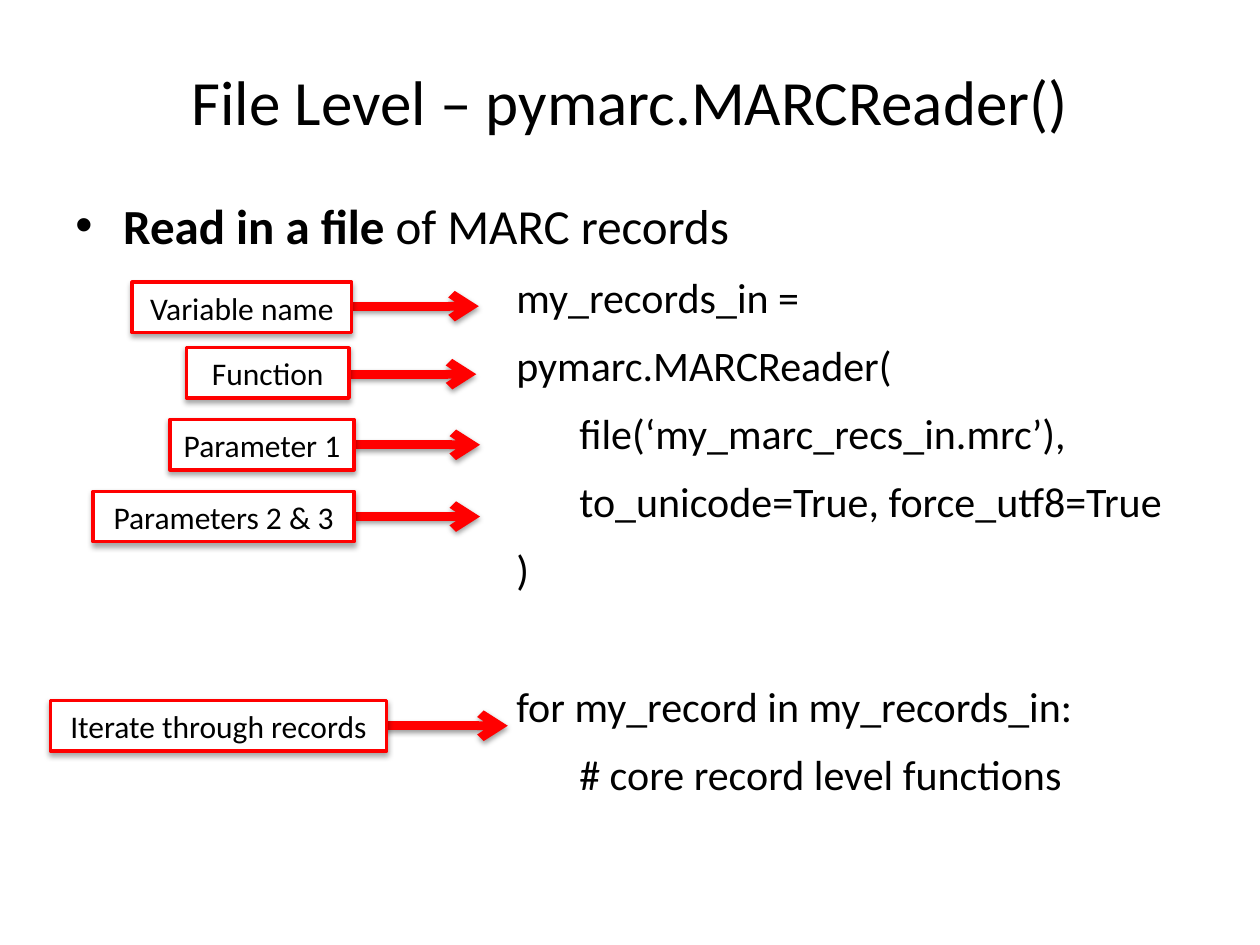
from lxml.etree import SubElement
from pptx import Presentation
from pptx.dml.color import RGBColor
from pptx.enum.shapes import MSO_CONNECTOR, MSO_SHAPE
from pptx.enum.text import MSO_ANCHOR, PP_ALIGN
from pptx.oxml.ns import qn
from pptx.util import Inches, Pt

BLACK = RGBColor(0, 0, 0)
WHITE = RGBColor(255, 255, 255)
RED = RGBColor(255, 0, 0)
FONT = "Calibri"
WIDE, HIGH = 10, 7.5
EDGE = WIDE * 0.05
STEP = 0.5        # one code indent
CODE = 7 * STEP   # code column inside the body
GAP = 4.3         # points above a code line
PITCH = 39.4      # points from one code line to the next

# Text, extra indents, empty lines above
LINES = [
    ("my_records_in =", 0, 0),
    ("pymarc.MARCReader(", 0, 0),
    ("file(‘my_marc_recs_in.mrc’),", 1, 0),
    ("to_unicode=True, force_utf8=True", 1, 0),
    (")", 0, 0),
    ("for my_record in my_records_in:", 0, 1),
    ("# core record level functions", 1, 0),
]
# Text, box left, top and width, arrow start and height
LABELS = [
    ("Variable name", 1.05, 2.24, 1.74, 2.8, 2.43),
    ("Function", 1.48, 2.76, 1.29, 2.78, 2.97),
    ("Parameter 1", 1.35, 3.33, 1.46, 2.81, 3.53),
    ("Parameters 2 & 3", 0.74, 3.9, 2.07, 2.81, 4.1),
    ("Iterate through records", 0.4, 5.56, 2.67, 3.03, 5.76),
]


def style(para, size):
    font = para.font
    font.name, font.size, font.color.rgb = FONT, Pt(size), BLACK


def add_box(slide, top, high):
    box = slide.shapes.add_textbox(
        Inches(EDGE), Inches(top), Inches(WIDE - 2 * EDGE), Inches(high))
    box.text_frame.word_wrap = True
    return box.text_frame


def indent(para, left, first=0):
    props = para._p.get_or_add_pPr()
    props.set("marL", str(Inches(left)))
    props.set("indent", str(Inches(first)))
    return props


def shade(shape, alpha, dist):
    props = shape._element.spPr
    effect = props.find(qn("a:effectLst"))
    if effect is None:
        effect = SubElement(props, qn("a:effectLst"))
    outer = SubElement(effect, qn("a:outerShdw"), blurRad=str(Pt(3.1)),
                       dist=str(Pt(dist)), dir="5400000", rotWithShape="0")
    color = SubElement(outer, qn("a:srgbClr"), val=str(BLACK))
    SubElement(color, qn("a:alpha"), val=str(alpha * 1000))


def add_title(slide, text):
    frame = add_box(slide, HIGH * 0.04, 1)
    frame.vertical_anchor = MSO_ANCHOR.MIDDLE
    para = frame.paragraphs[0]
    para.text, para.alignment = text, PP_ALIGN.CENTER
    style(para, 36)


def add_body(slide):
    frame = add_box(slide, HIGH * 0.2, 5.5)
    # Bullet line
    para = frame.paragraphs[0]
    style(para, 28)
    for text, bold in (("Read in a file", True), (" of MARC records", False)):
        run = para.add_run()
        run.text, run.font.bold = text, bold
    props = indent(para, 0.38, -0.38)
    mark = SubElement(props, qn("a:buFont"), typeface="Arial")
    mark.addnext(props.makeelement(qn("a:buChar"), {"char": "•"}))
    props.append(props.find(qn("a:defRPr")))
    # Code lines
    for text, depth, skip in LINES:
        para = frame.add_paragraph()
        para.text = text
        para.line_spacing = 1.2
        para.space_before = Pt(GAP + skip * PITCH)
        style(para, 24)
        indent(para, CODE + depth * STEP)


def add_arrow(slide, left, y):
    arrow = slide.shapes.add_connector(
        MSO_CONNECTOR.STRAIGHT, Inches(left), Inches(y),
        Inches(left + 1), Inches(y))
    arrow.line.color.rgb, arrow.line.width = RED, Pt(5)
    SubElement(arrow.line._get_or_add_ln(), qn("a:tailEnd"), type="arrow")
    shade(arrow, 38, 1.6)


def add_label(slide, text, left, top, wide):
    box = slide.shapes.add_shape(
        MSO_SHAPE.RECTANGLE, Inches(left), Inches(top),
        Inches(wide), Inches(0.4))
    box.fill.solid()
    box.fill.fore_color.rgb = WHITE
    box.line.color.rgb, box.line.width = RED, Pt(2)
    box.shadow.inherit = False
    shade(box, 35, 1.8)
    frame = box.text_frame
    frame.vertical_anchor = MSO_ANCHOR.MIDDLE
    para = frame.paragraphs[0]
    para.text, para.alignment = text, PP_ALIGN.CENTER
    style(para, 18)


def main():
    deck = Presentation()
    deck.slide_width, deck.slide_height = Inches(WIDE), Inches(HIGH)
    slide = deck.slides.add_slide(deck.slide_layouts[6])
    add_title(slide, "File Level – pymarc.MARCReader()")
    add_body(slide)
    # Arrows lie under their labels
    for text, left, top, wide, start, y in LABELS:
        add_arrow(slide, start, y)
        add_label(slide, text, left, top, wide)
    deck.save("out.pptx")


main()
